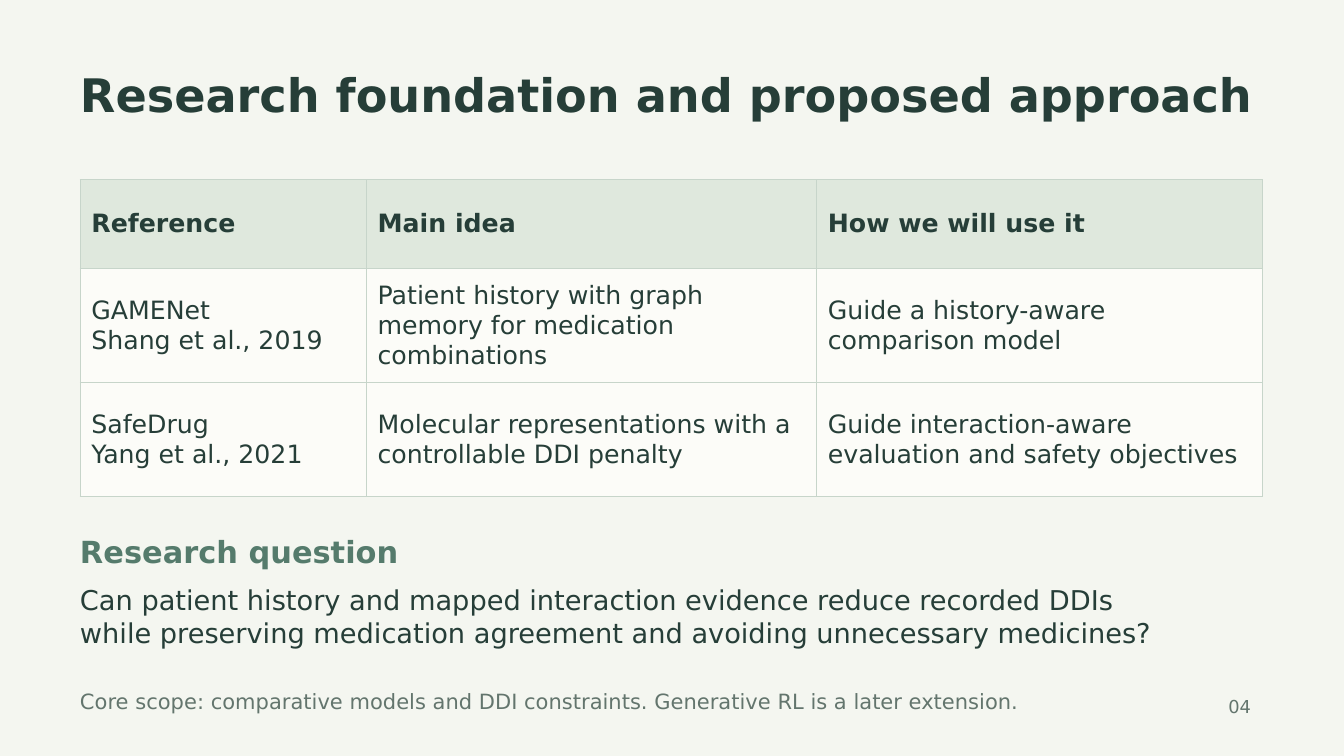
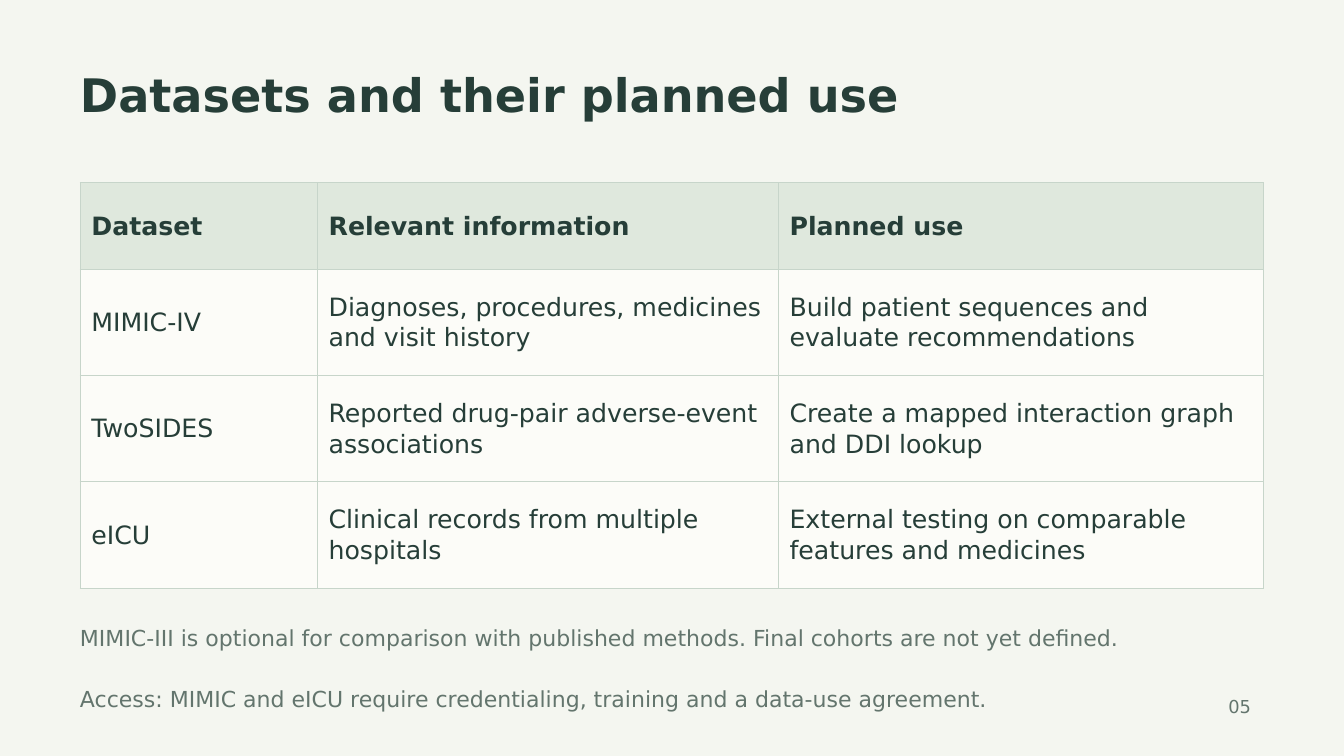
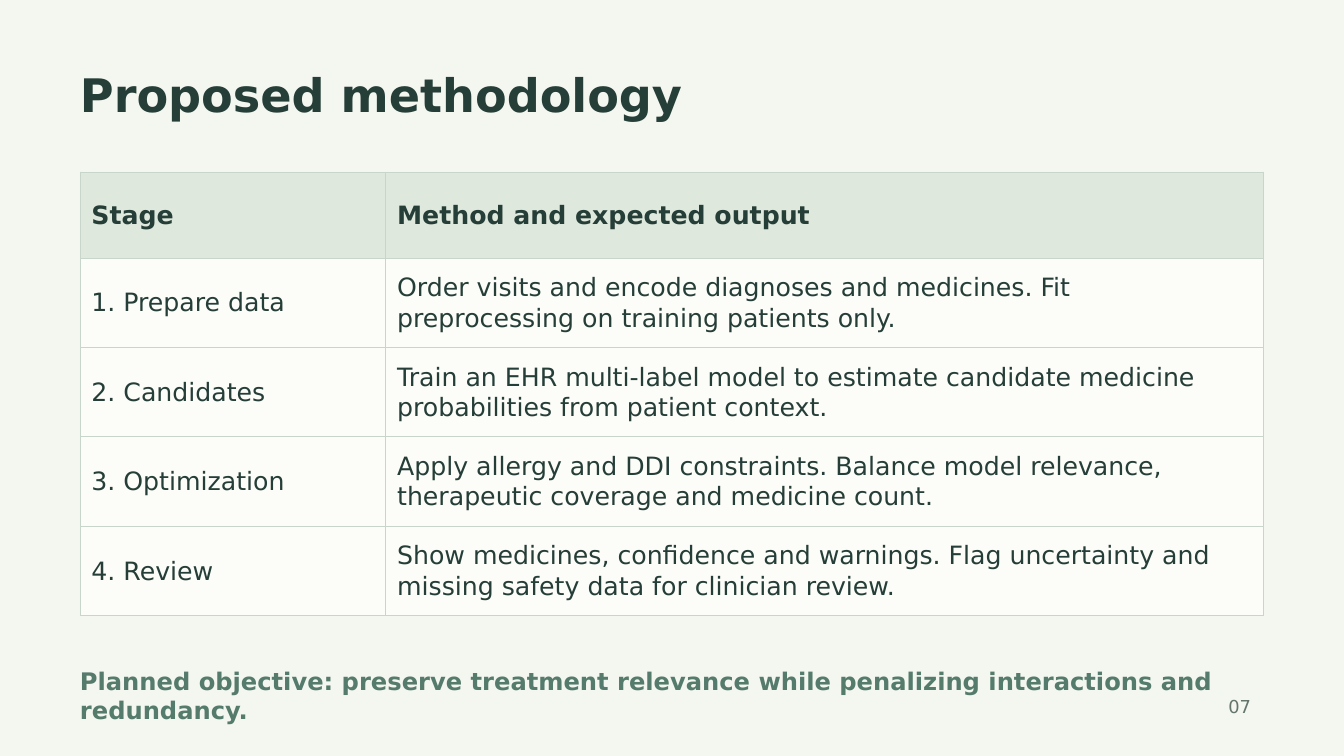
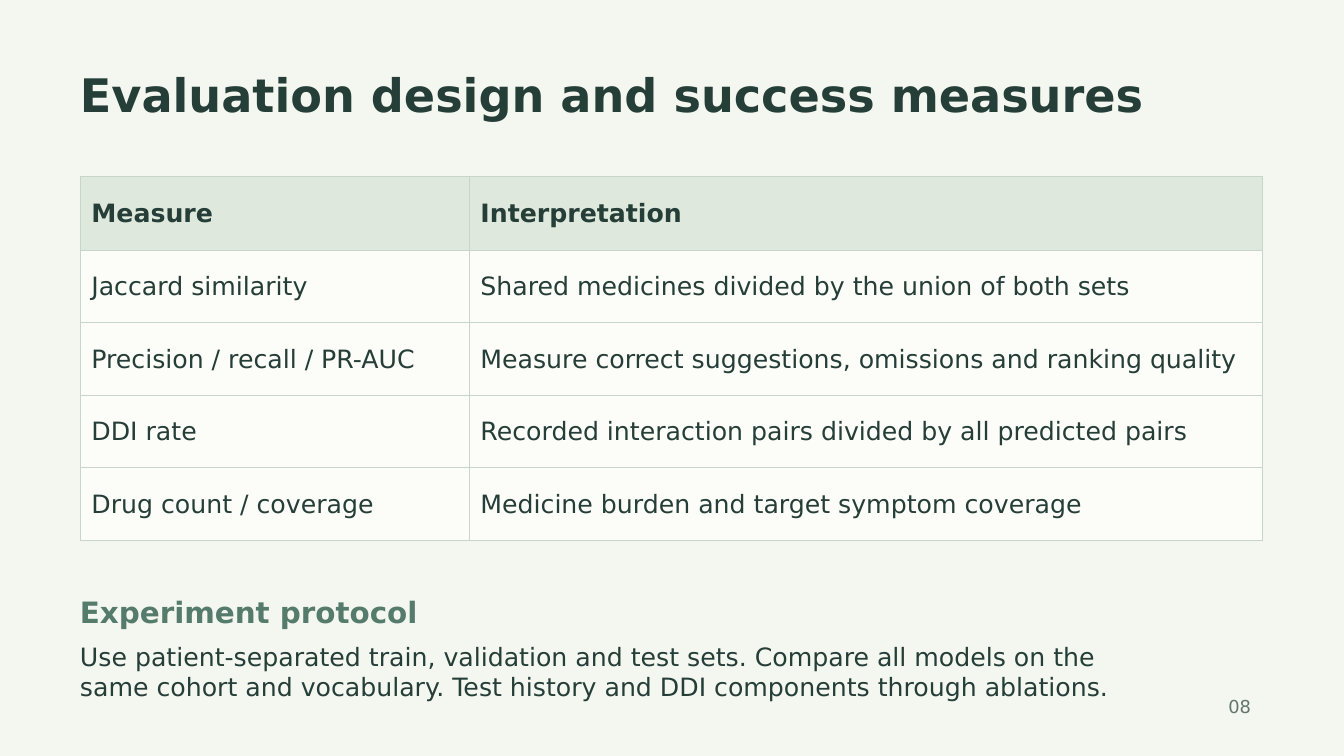
import lxml.etree
import pptx
import pptx.dml.color
import pptx.enum.text
import pptx.oxml
import pptx.oxml.ns
import pptx.util

Inches = pptx.util.Inches

COLORS = {
    "background": "F4F6F0",
    "ink": "263E38",
    "accent": "557B6C",
    "muted": "63756D",
    "header": "DFE8DD",
    "cell": "FCFCF8",
    "border": "C7D5CA",
}
FONT = "DejaVu Sans"
LEFT = 1.19
TEXT_WIDTH = 17.62
TABLE_SIZE = 27
BORDER_WIDTH = 0.75
SIDES = ("left", "top", "right", "bottom")
TOP = pptx.enum.text.MSO_ANCHOR.TOP
MIDDLE = pptx.enum.text.MSO_ANCHOR.MIDDLE

BOX_FORMAT = {
    "word_wrap": True,
    "auto_size": pptx.enum.text.MSO_AUTO_SIZE.SHAPE_TO_FIT_TEXT,
    "vertical_anchor": TOP,
    **{f"margin_{side}": 0 for side in SIDES},
}
CELL_FORMAT = {
    "vertical_anchor": MIDDLE,
    **{f"margin_{side}": Inches(0.17) for side in SIDES},
}


def apply_format(target, values):
    for name, value in values.items():
        setattr(target, name, value)


def rgb(color):
    return pptx.dml.color.RGBColor.from_string(COLORS[color])


def write_text(frame, text, size, color="ink", bold=False):
    for index, line in enumerate(text.split("\n")):
        para = frame.paragraphs[0] if index == 0 else frame.add_paragraph()
        apply_format(para, {
            "alignment": pptx.enum.text.PP_ALIGN.LEFT,
            "line_spacing": pptx.util.Pt(round(size * 1.2, 1)),
            "space_before": pptx.util.Pt(0),
        })
        span = para.add_run()
        span.text = line
        apply_format(span.font, {"name": FONT, "size": pptx.util.Pt(size), "bold": bold})
        span.font.color.rgb = rgb(color)


def add_text(page, text, top, height, size, color="ink", bold=False, left=LEFT, width=TEXT_WIDTH):
    box = page.shapes.add_textbox(Inches(left), Inches(top), Inches(width), Inches(height))
    apply_format(box.text_frame, BOX_FORMAT)
    write_text(box.text_frame, text, size, color, bold)


def add_page(deck, title, number):
    page = deck.slides.add_slide(deck.slide_layouts[5])
    heading = page.shapes.title
    apply_format(heading, {
        "left": Inches(LEFT), "top": Inches(0.99),
        "width": Inches(TEXT_WIDTH), "height": Inches(1.01),
    })
    apply_format(heading.text_frame, BOX_FORMAT)
    write_text(heading.text_frame, title, 49.5, bold=True)
    add_text(page, number, 10.35, 0.48, 19.1, "muted", left=18.28, width=0.7)
    return page


def add_borders(cell):
    properties = cell._tc.get_or_add_tcPr()
    for tag in ("a:lnL", "a:lnR", "a:lnT", "a:lnB"):
        line = lxml.etree.SubElement(properties, pptx.oxml.ns.qn(tag), w=str(pptx.util.Pt(BORDER_WIDTH)))
        fill = lxml.etree.SubElement(line, pptx.oxml.ns.qn("a:solidFill"))
        lxml.etree.SubElement(fill, pptx.oxml.ns.qn("a:srgbClr"), val=COLORS["border"])


def add_grid(page, top, widths, header_height, row_height, rows):
    heights = [header_height] + [row_height] * (len(rows) - 1)
    frame = page.shapes.add_table(
        len(rows), len(widths), Inches(LEFT), Inches(top), Inches(sum(widths)), Inches(sum(heights)))
    table = frame.table
    table.horz_banding = False
    for column, width in zip(table.columns, widths):
        column.width = Inches(width)
    for row_index, (row, height, texts) in enumerate(zip(table.rows, heights, rows)):
        row.height = Inches(height)
        is_header = row_index == 0
        for cell, text in zip(row.cells, texts):
            apply_format(cell, CELL_FORMAT)
            add_borders(cell)
            cell.fill.solid()
            cell.fill.fore_color.rgb = rgb("header" if is_header else "cell")
            write_text(cell.text_frame, text, TABLE_SIZE, bold=is_header)


def add_foundation(deck):
    page = add_page(deck, "Research foundation and proposed approach", "04")
    add_grid(page, 2.67, (4.26, 6.7, 6.64), 1.32, 1.7, [
        ("Reference", "Main idea", "How we will use it"),
        ("GAMENet\nShang et al., 2019",
         "Patient history with graph memory for medication combinations",
         "Guide a history-aware comparison model"),
        ("SafeDrug\nYang et al., 2021",
         "Molecular representations with a controllable DDI penalty",
         "Guide interaction-aware evaluation and safety objectives"),
    ])
    add_text(page, "Research question", 7.94, 0.7, 32.6, "accent", True)
    add_text(page,
             "Can patient history and mapped interaction evidence reduce recorded DDIs\n"
             "while preserving medication agreement and avoiding unnecessary medicines?",
             8.68, 1.15, 29.2)
    add_text(page, "Core scope: comparative models and DDI constraints. Generative RL is a later extension.",
             10.24, 0.54, 22.5, "muted")


def add_datasets(deck):
    page = add_page(deck, "Datasets and their planned use", "05")
    add_grid(page, 2.72, (3.53, 6.86, 7.22), 1.29, 1.58, [
        ("Dataset", "Relevant information", "Planned use"),
        ("MIMIC-IV", "Diagnoses, procedures, medicines and visit history",
         "Build patient sequences and evaluate recommendations"),
        ("TwoSIDES", "Reported drug-pair adverse-event associations",
         "Create a mapped interaction graph and DDI lookup"),
        ("eICU", "Clinical records from multiple hospitals",
         "External testing on comparable features and medicines"),
    ])
    notes = (
        (9.29, "MIMIC-III is optional for comparison with published methods. Final cohorts are not yet defined."),
        (10.2, "Access: MIMIC and eICU require credentialing, training and a data-use agreement."),
    )
    for top, note in notes:
        add_text(page, note, top, 0.56, 23.6, "muted")


def add_methodology(deck):
    page = add_page(deck, "Proposed methodology", "07")
    add_grid(page, 2.56, (4.55, 13.06), 1.28, 1.33, [
        ("Stage", "Method and expected output"),
        ("1. Prepare data",
         "Order visits and encode diagnoses and medicines. Fit preprocessing on training patients only."),
        ("2. Candidates",
         "Train an EHR multi-label model to estimate candidate medicine probabilities from patient context."),
        ("3. Optimization",
         "Apply allergy and DDI constraints. Balance model relevance, therapeutic coverage and medicine count."),
        ("4. Review",
         "Show medicines, confidence and warnings. Flag uncertainty and missing safety data for clinician review."),
    ])
    add_text(page, "Planned objective: preserve treatment relevance while penalizing interactions and redundancy.",
             9.91, 1.03, 25.9, "accent", True)


def add_evaluation(deck):
    page = add_page(deck, "Evaluation design and success measures", "08")
    add_grid(page, 2.62, (5.79, 11.81), 1.1, 1.08, [
        ("Measure", "Interpretation"),
        ("Jaccard similarity", "Shared medicines divided by the union of both sets"),
        ("Precision / recall / PR-AUC", "Measure correct suggestions, omissions and ranking quality"),
        ("DDI rate", "Recorded interaction pairs divided by all predicted pairs"),
        ("Drug count / coverage", "Medicine burden and target symptom coverage"),
    ])
    add_text(page, "Experiment protocol", 8.84, 0.59, 31.5, "accent", True)
    add_text(page,
             "Use patient-separated train, validation and test sets. Compare all models on the\n"
             "same cohort and vocabulary. Test history and DDI components through ablations.",
             9.54, 0.99, 27)


def main():
    deck = pptx.Presentation()
    apply_format(deck, {"slide_width": Inches(20), "slide_height": Inches(11.25)})
    backdrop = deck.slide_master.background.fill
    backdrop.solid()
    backdrop.fore_color.rgb = rgb("background")
    for add_content in (add_foundation, add_datasets, add_methodology, add_evaluation):
        add_content(deck)
    deck.save("out.pptx")


if __name__ == "__main__":
    main()
